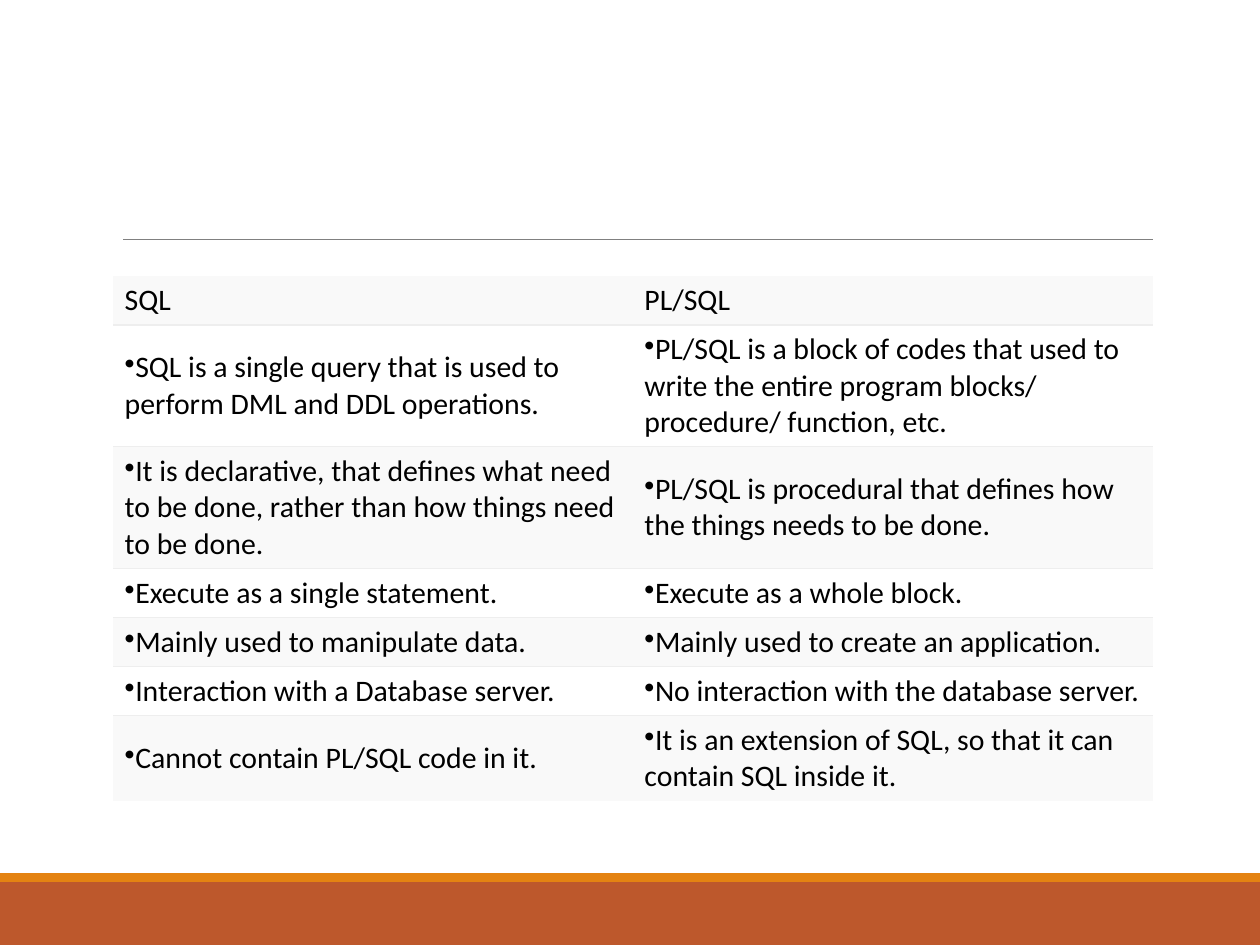
import pptx
import pptx.util
import pptx.dml.color
import pptx.enum.shapes
import pptx.enum.text
import pptx.oxml.ns
import lxml.etree

Inches, Pt = pptx.util.Inches, pptx.util.Pt
RGBColor = pptx.dml.color.RGBColor
qn = pptx.oxml.ns.qn

RUST = RGBColor(0xBD, 0x58, 0x2C)
ORANGE = RGBColor(0xE4, 0x83, 0x12)
GRAY = RGBColor(0x80, 0x80, 0x80)
BORDER = RGBColor(0xEE, 0xEE, 0xEE)
BAND = RGBColor(0xF9, 0xF9, 0xF9)
WHITE = RGBColor(0xFF, 0xFF, 0xFF)
BLACK = RGBColor(0, 0, 0)

ROWS = [
    (0.38, "SQL", "PL/SQL"),
    (0.94, "SQL is a single query that is used to perform DML and DDL operations.",
     "PL/SQL is a block of codes that used to write the entire program blocks/ procedure/ function, etc."),
    (0.94, "It is declarative, that defines what need to be done, rather than how things need to be done.",
     "PL/SQL is procedural that defines how the things needs to be done."),
    (0.38, "Execute as a single statement.", "Execute as a whole block."),
    (0.38, "Mainly used to manipulate data.", "Mainly used to create an application."),
    (0.38, "Interaction with a Database server.", "No interaction with the database server."),
    (0.66, "Cannot contain PL/SQL code in it.",
     "It is an extension of SQL, so that it can contain SQL inside it."),
]
CELL_FORMAT = {
    "vertical_anchor": pptx.enum.text.MSO_ANCHOR.MIDDLE,
    "margin_left": Inches(0.09), "margin_right": Inches(0.09),
    "margin_top": Inches(0.05), "margin_bottom": Inches(0.05),
}
FONT_FORMAT = {"name": "Calibri", "size": Pt(17), "bold": False}


def set_borders(cell, top, bottom):
    tcPr = cell._tc.get_or_add_tcPr()
    edges = {"a:lnL": False, "a:lnR": False, "a:lnT": top, "a:lnB": bottom}
    for i, (tag, shown) in enumerate(edges.items()):
        ln = lxml.etree.Element(qn(tag), w=str(Pt(0.75)))
        if shown:
            fill = lxml.etree.SubElement(ln, qn("a:solidFill"))
            lxml.etree.SubElement(fill, qn("a:srgbClr"), val=str(BORDER))
        else:
            lxml.etree.SubElement(ln, qn("a:noFill"))
        tcPr.insert(i, ln)


prs = pptx.Presentation()
prs.slide_width, prs.slide_height = Inches(10), Inches(7.5)
s = prs.slides.add_slide(prs.slide_layouts[6])

for top, height, color in [(7, 0.5, RUST), (6.93, 0.07, ORANGE)]:
    sp = s.shapes.add_shape(pptx.enum.shapes.MSO_SHAPE.RECTANGLE,
                            0, Inches(top), Inches(10), Inches(height))
    sp.shadow.inherit = False
    sp.fill.solid()
    sp.fill.fore_color.rgb = color
    sp.line.fill.background()

rule = s.shapes.add_connector(pptx.enum.shapes.MSO_CONNECTOR.STRAIGHT,
                              Inches(0.98), Inches(1.9), Inches(9.15), Inches(1.9))
rule.line.color.rgb = GRAY
rule.line.width = Pt(0.5)
lxml.etree.SubElement(rule._element.spPr, qn("a:effectLst"))

table = s.shapes.add_table(len(ROWS), 2, Inches(0.9), Inches(2.19),
                           Inches(8.25), Inches(4.06)).table
table.first_row = table.horz_banding = False

for i, (height, *texts) in enumerate(ROWS):
    table.rows[i].height = Inches(height)
    for j, text in enumerate(texts):
        cell = table.cell(i, j)
        for key, value in CELL_FORMAT.items():
            setattr(cell, key, value)
        cell.fill.solid()
        cell.fill.fore_color.rgb = WHITE if i % 2 else BAND
        set_borders(cell, top=i > 0, bottom=i < len(ROWS) - 1)
        p = cell.text_frame.paragraphs[0]
        r = p.add_run()
        r.text = text
        for key, value in FONT_FORMAT.items():
            setattr(r.font, key, value)
        r.font.color.rgb = BLACK
        if i > 0:
            lxml.etree.SubElement(p._p.get_or_add_pPr(), qn("a:buChar"), char="•")

prs.save("out.pptx")
